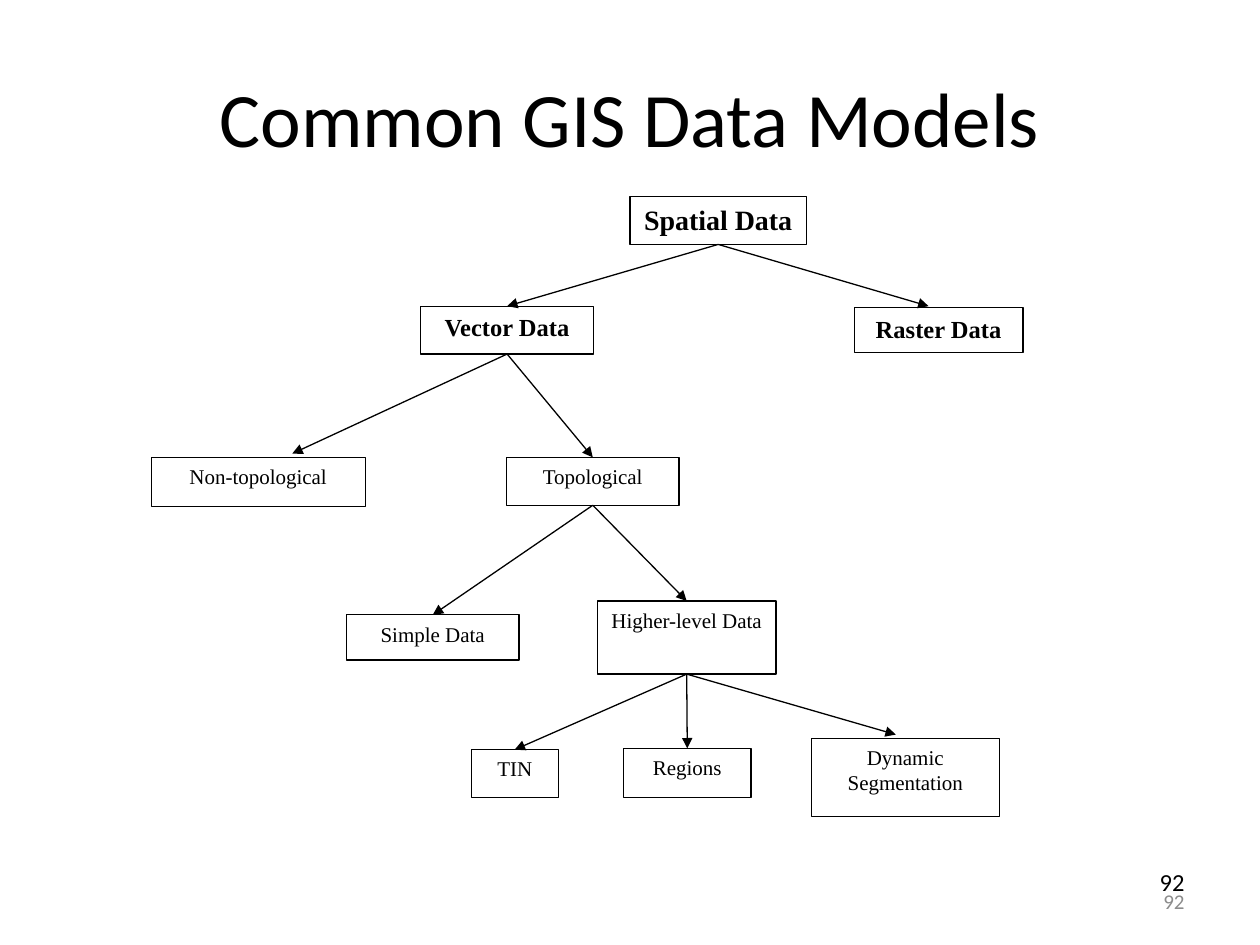
from lxml import etree
from pptx import Presentation
from pptx.dml.color import RGBColor
from pptx.enum import shapes, text
from pptx.oxml.ns import qn
from pptx.util import Inches, Pt

BLACK = RGBColor(0x00, 0x00, 0x00)
GRAY = RGBColor(0x8C, 0x8C, 0x8C)
WHITE = RGBColor(0xFF, 0xFF, 0xFF)
SANS, SERIF = "Calibri", "Times New Roman"
BOTTOM, TOP = 2, 0

TITLE = "Common GIS Data Models"
NODES = {
    "Spatial Data": (5, 1.56, 1.4, 0.38, 16, True),
    "Vector Data": (3.34, 2.43, 1.37, 0.38, 14, True),
    "Raster Data": (6.78, 2.44, 1.34, 0.36, 14, True),
    "Non-topological": (1.2, 3.63, 1.7, 0.39, 12, False),
    "Topological": (4.02, 3.63, 1.37, 0.38, 12, False),
    "Simple Data": (2.75, 4.88, 1.37, 0.36, 12, False),
    "Higher-level Data": (4.74, 4.77, 1.42, 0.58, 12, False),
    "TIN": (3.74, 5.95, 0.69, 0.38, 12, False),
    "Regions": (4.95, 5.94, 1.01, 0.39, 12, False),
    "Dynamic Segmentation": (6.44, 5.86, 1.49, 0.62, 12, False),
}
CHILDREN = {
    "Spatial Data": ["Vector Data", "Raster Data"],
    "Vector Data": ["Non-topological", "Topological"],
    "Topological": ["Simple Data", "Higher-level Data"],
    "Higher-level Data": ["TIN", "Regions", "Dynamic Segmentation"],
}
FREE_ENDS = {
    "Raster Data": (7.37, 2.43),
    "Non-topological": (2.32, 3.6),
    "Dynamic Segmentation": (7.11, 5.83),
}
PAGE_NUMBERS = [
    ("92", (7.17, 6.95, 2.33, 0.4), 12, GRAY, text.MSO_ANCHOR.MIDDLE),
    ("92", (7.17, 6.83, 2.33, 0.52), 14, BLACK, text.MSO_ANCHOR.TOP),
]


def write(sp, words, align, anchor, color, **font):
    tf = sp.text_frame
    tf.word_wrap = True
    tf.vertical_anchor = anchor
    p = tf.paragraphs[0]
    p.alignment = align
    r = p.add_run()
    r.text = words
    for name, value in font.items():
        setattr(r.font, name, value)
    r.font.color.rgb = color


def outline(sp):
    sp.line.color.rgb = BLACK
    sp.line.width = Pt(0.75)


def add_node(s, words, left, top, width, height, size, bold):
    box = map(Inches, (left, top, width, height))
    sp = s.shapes.add_shape(shapes.MSO_SHAPE.RECTANGLE, *box)
    sp.shadow.inherit = False
    sp.fill.solid()
    sp.fill.fore_color.rgb = WHITE
    outline(sp)
    write(sp, words, text.PP_ALIGN.CENTER, text.MSO_ANCHOR.TOP, BLACK,
          name=SERIF, size=Pt(size), bold=bold)
    return sp


def add_arrow(s, parent, child, free_end):
    end = map(Inches, free_end or (0, 0))
    c = s.shapes.add_connector(shapes.MSO_CONNECTOR.STRAIGHT, 0, 0, *end)
    c.begin_connect(parent, BOTTOM)
    if not free_end:
        c.end_connect(child, TOP)
    outline(c)
    etree.SubElement(c.line._get_or_add_ln(), qn("a:tailEnd"), type="triangle")
    etree.SubElement(c._element.spPr, qn("a:effectLst"))


def main():
    prs = Presentation()
    prs.slide_width, prs.slide_height = Inches(10), Inches(7.5)
    s = prs.slides.add_slide(prs.slide_layouts[5])

    title = s.shapes.title
    title.left, title.top, title.width, title.height = map(Inches, (0.5, 0.3, 9, 1.25))
    write(title, TITLE, text.PP_ALIGN.CENTER, text.MSO_ANCHOR.MIDDLE, BLACK,
          name=SANS, size=Pt(44))

    for words, box, size, color, anchor in PAGE_NUMBERS:
        sp = s.shapes.add_textbox(*map(Inches, box))
        write(sp, words, text.PP_ALIGN.RIGHT, anchor, color, name=SANS, size=Pt(size))

    nodes = {words: add_node(s, words, *spec_) for words, spec_ in NODES.items()}
    for parent, children in CHILDREN.items():
        for child in children:
            add_arrow(s, nodes[parent], nodes[child], FREE_ENDS.get(child))

    prs.save("out.pptx")


if __name__ == "__main__":
    main()
